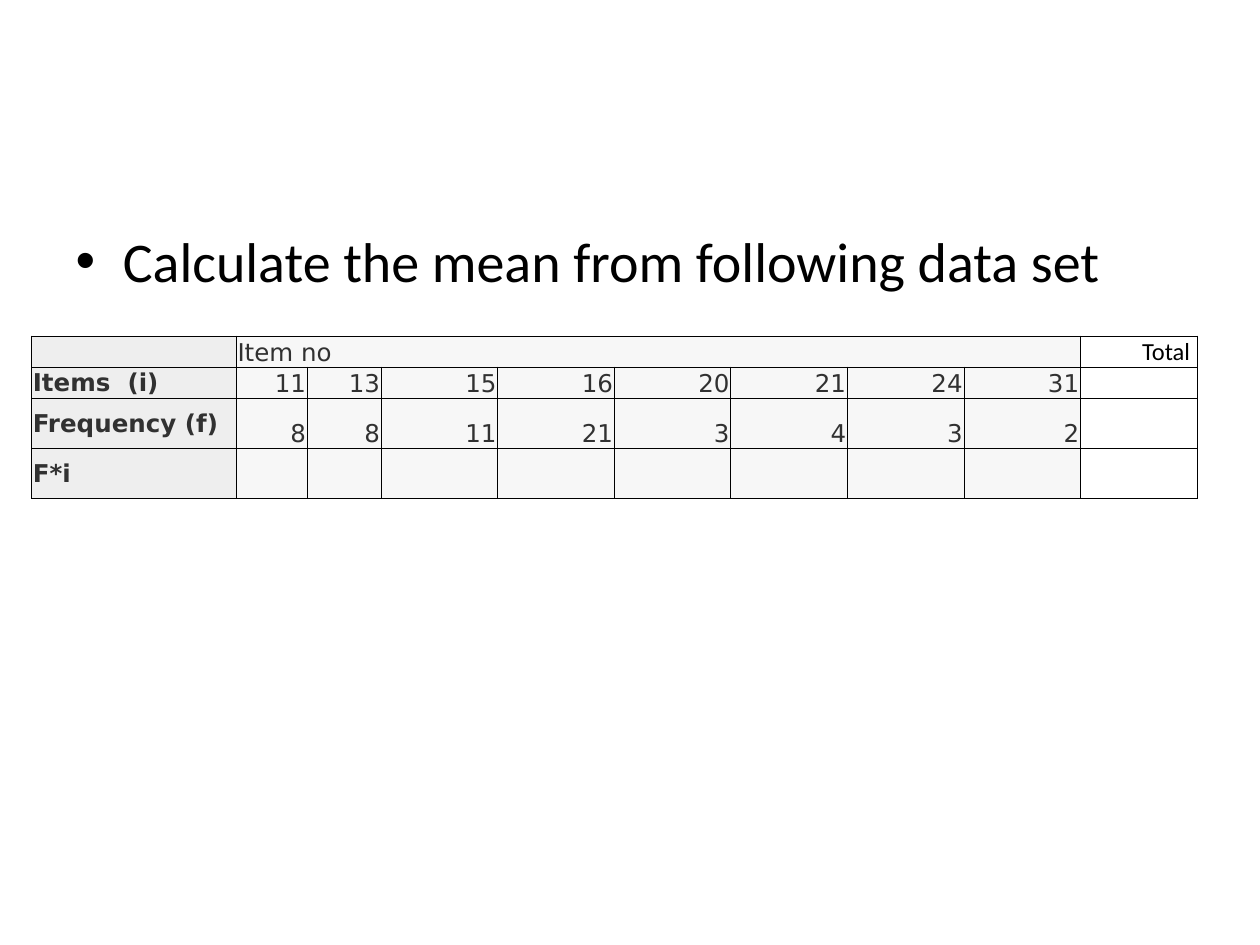
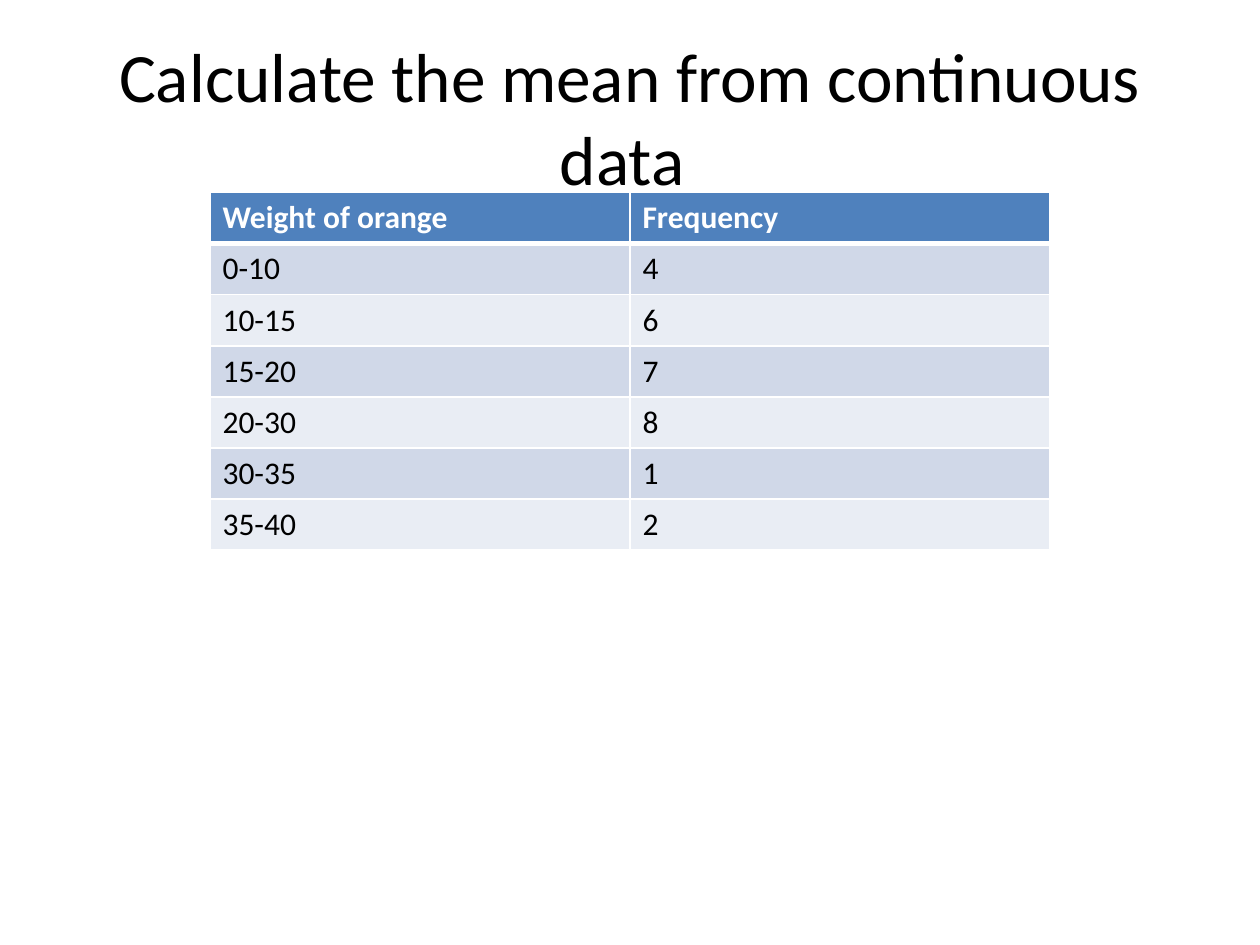
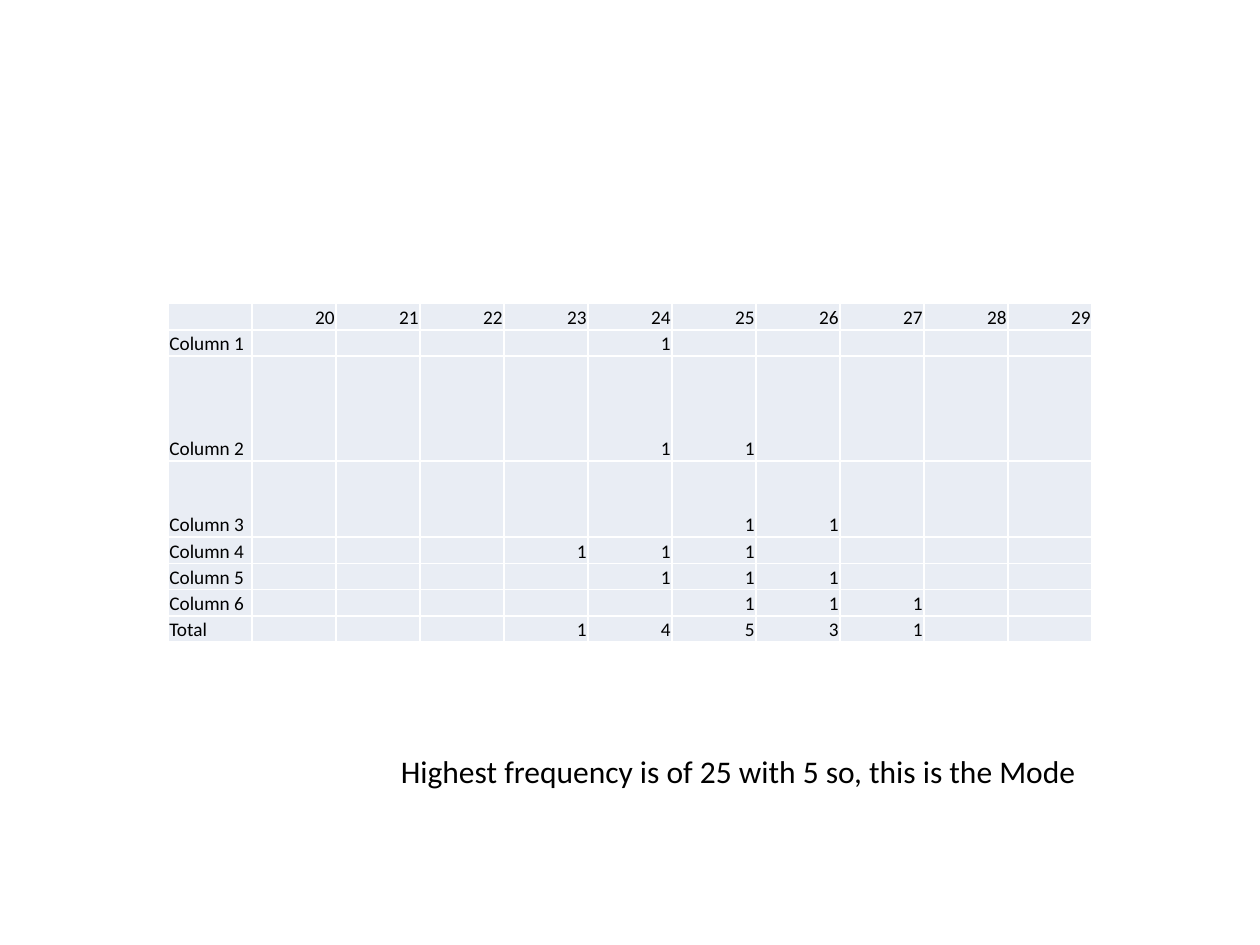
from lxml import etree
from pptx import Presentation
from pptx.dml.color import RGBColor
from pptx.enum import text
from pptx.oxml import ns
from pptx.util import Pt

BLACK = RGBColor(0x00, 0x00, 0x00)
WHITE = RGBColor(0xFF, 0xFF, 0xFF)
INK = RGBColor(0x31, 0x31, 0x31)
LABEL_GREY = RGBColor(0xEE, 0xEE, 0xEE)
VALUE_GREY = RGBColor(0xF7, 0xF7, 0xF7)
HEADER_BLUE = RGBColor(0x4F, 0x81, 0xBD)
BAND_DARK = RGBColor(0xD0, 0xD8, 0xE8)
BAND_LIGHT = RGBColor(0xE9, 0xED, 0xF4)

LEFT, CENTER, RIGHT = text.PP_ALIGN.LEFT, text.PP_ALIGN.CENTER, text.PP_ALIGN.RIGHT
TOP, MIDDLE, BOTTOM = text.MSO_ANCHOR.TOP, text.MSO_ANCHOR.MIDDLE, text.MSO_ANCHOR.BOTTOM
TITLE_CONTENT, TITLE_ONLY, BLANK = 1, 5, 6
TIGHT = {"margin_left": Pt(0.75), "margin_right": Pt(0.75),
         "margin_top": Pt(0.75), "margin_bottom": Pt(0)}


def apply(target, values):
    """Set each attribute of the target from a dict of format values."""
    for key, value in values.items():
        setattr(target, key, value)


def write(frame, words, size, color=BLACK, font="Calibri", bold=False, align=LEFT):
    """Write one formatted paragraph into a text frame."""
    paragraph = frame.paragraphs[0]
    paragraph.alignment = align
    if not words:
        paragraph._p.get_or_add_endParaRPr().set("sz", str(size * 100))
        return
    run = paragraph.add_run()
    run.text = words
    apply(run.font, {"size": Pt(size), "name": font, "bold": bold})
    run.font.color.rgb = color


def place(shape, left, top, width, height):
    """Move and size a shape, in points."""
    apply(shape, {"left": Pt(left), "top": Pt(top), "width": Pt(width), "height": Pt(height)})


def border(cell, color, widths):
    """Draw the left, right, top and bottom borders of a cell."""
    properties = cell._tc.get_or_add_tcPr()
    for position, (side, width) in enumerate(zip("LRTB", widths)):
        line = etree.Element(ns.qn(f"a:ln{side}"), w=str(Pt(width)))
        fill = etree.SubElement(line, ns.qn("a:solidFill"))
        etree.SubElement(fill, ns.qn("a:srgbClr"), val=str(color))
        properties.insert(position, line)


def add_grid(slide, left, top, widths, heights, rows, style, line_color, line=1):
    """Add a table whose cells are formatted by style(row, column)."""
    table = slide.shapes.add_table(len(heights), len(widths), Pt(left), Pt(top),
                                   Pt(sum(widths)), Pt(sum(heights))).table
    apply(table, {"first_row": False, "horz_banding": False})
    for column, width in zip(table.columns, widths):
        column.width = Pt(width)
    for r, (height, words) in enumerate(zip(heights, rows)):
        table.rows[r].height = Pt(height)
        for c, word in enumerate(words):
            cell, look = table.cell(r, c), style(r, c)
            apply(cell, look.get("cell", {}))
            if look["fill"] is None:
                cell.fill.background()
            else:
                cell.fill.solid()
                cell.fill.fore_color.rgb = look["fill"]
            border(cell, line_color, look.get("lines", (line,) * 4))
            write(cell.text_frame, word, **look["text"])
    return table


def item_style(row, column):
    """Style the item and frequency table."""
    label, total = column == 0, column == 9
    plain = label or (row == 0 and not total)
    return {
        "fill": LABEL_GREY if label else None if total else VALUE_GREY,
        "cell": {**TIGHT, "vertical_anchor": MIDDLE if label else BOTTOM},
        "text": {"size": 14, "bold": label, "align": LEFT if plain else RIGHT,
                 "color": BLACK if total else INK,
                 "font": "Calibri" if total else "DejaVu Sans"},
    }


def weight_style(row, column):
    """Style the weight table with a header and bands."""
    header = row == 0
    return {
        "fill": HEADER_BLUE if header else BAND_DARK if row % 2 else BAND_LIGHT,
        "lines": (1, 1, 3 if row == 1 else 1, 3 if header else 1),
        "text": {"size": 18, "bold": header, "color": WHITE if header else BLACK},
    }


def tally_style(row, column):
    """Style the mode tally table."""
    return {
        "fill": BAND_LIGHT,
        "cell": {**TIGHT, "vertical_anchor": BOTTOM},
        "text": {"size": 11, "align": RIGHT if column else LEFT},
    }


def add_item_slide(deck):
    """Build the slide on the mean of a data set."""
    slide = deck.slides.add_slide(deck.slide_layouts[TITLE_CONTENT])
    title = slide.shapes.title._element
    title.getparent().remove(title)
    task = slide.placeholders[1]
    place(task, 36, 126, 648, 78)
    task.text_frame.vertical_anchor = TOP
    write(task.text_frame, "Calculate the mean from following data set", 32)
    rows = [
        ["", "Item no"] + [""] * 7 + ["Total "],
        ["Items  (i)", "11", "13", "15", "16", "20", "21", "24", "31", ""],
        ["Frequency (f)", "8", "8", "11", "21", "3", "4", "3", "2", ""],
        ["F*i"] + [""] * 9,
    ]
    items = add_grid(slide, 18, 192, [117, 40.6, 42.3] + [66.6] * 7,
                     [15, 15, 28.6, 28.6], rows, item_style, BLACK, 0.5)
    items.cell(0, 1).merge(items.cell(0, 8))


def add_weight_slide(deck):
    """Build the slide on the mean of continuous data."""
    slide = deck.slides.add_slide(deck.slide_layouts[TITLE_ONLY])
    title = slide.shapes.title
    place(title, 36, 21.6, 648, 90)
    apply(title.text_frame, {"vertical_anchor": MIDDLE, "word_wrap": True,
                             "auto_size": text.MSO_AUTO_SIZE.NONE})
    write(title.text_frame, "Calculate the mean from continuous data ", 39.6, align=CENTER)
    rows = [("Weight of orange", "Frequency"), ("0-10", "4"), ("10-15", "6"),
            ("15-20", "7"), ("20-30", "8"), ("30-35", "1"), ("35-40", "2")]
    add_grid(slide, 120, 110, [240] * 2, [29.2] * 7, rows, weight_style, WHITE)


def add_mode_slide(deck):
    """Build the slide on the mode."""
    slide = deck.slides.add_slide(deck.slide_layouts[BLANK])
    values = range(20, 30)
    tallies = {
        "Column 1": {24: 1},
        "Column 2": {24: 1, 25: 1},
        "Column 3": {25: 1, 26: 1},
        "Column 4": {23: 1, 24: 1, 25: 1},
        "Column 5": {24: 1, 25: 1, 26: 1},
        "Column 6": {25: 1, 26: 1, 27: 1},
        "Total": {23: 1, 24: 4, 25: 5, 26: 3, 27: 1},
    }
    rows = [[""] + [str(value) for value in values]]
    rows += [[label] + [str(counts.get(value, "")) for value in values]
             for label, counts in tallies.items()]
    add_grid(slide, 96, 173.5, [48] * 11, [15, 15, 60, 43.5] + [15] * 4,
             rows, tally_style, WHITE)
    answer = slide.shapes.add_textbox(Pt(222), Pt(426), Pt(404), Pt(29)).text_frame
    apply(answer, {"word_wrap": False, "auto_size": text.MSO_AUTO_SIZE.SHAPE_TO_FIT_TEXT})
    write(answer, "Highest frequency is of 25 with 5 so, this is the Mode", 18)


def main():
    """Build and save the three slides."""
    deck = Presentation()
    apply(deck, {"slide_width": Pt(720), "slide_height": Pt(540)})
    add_item_slide(deck)
    add_weight_slide(deck)
    add_mode_slide(deck)
    deck.save("out.pptx")


if __name__ == "__main__":
    main()
